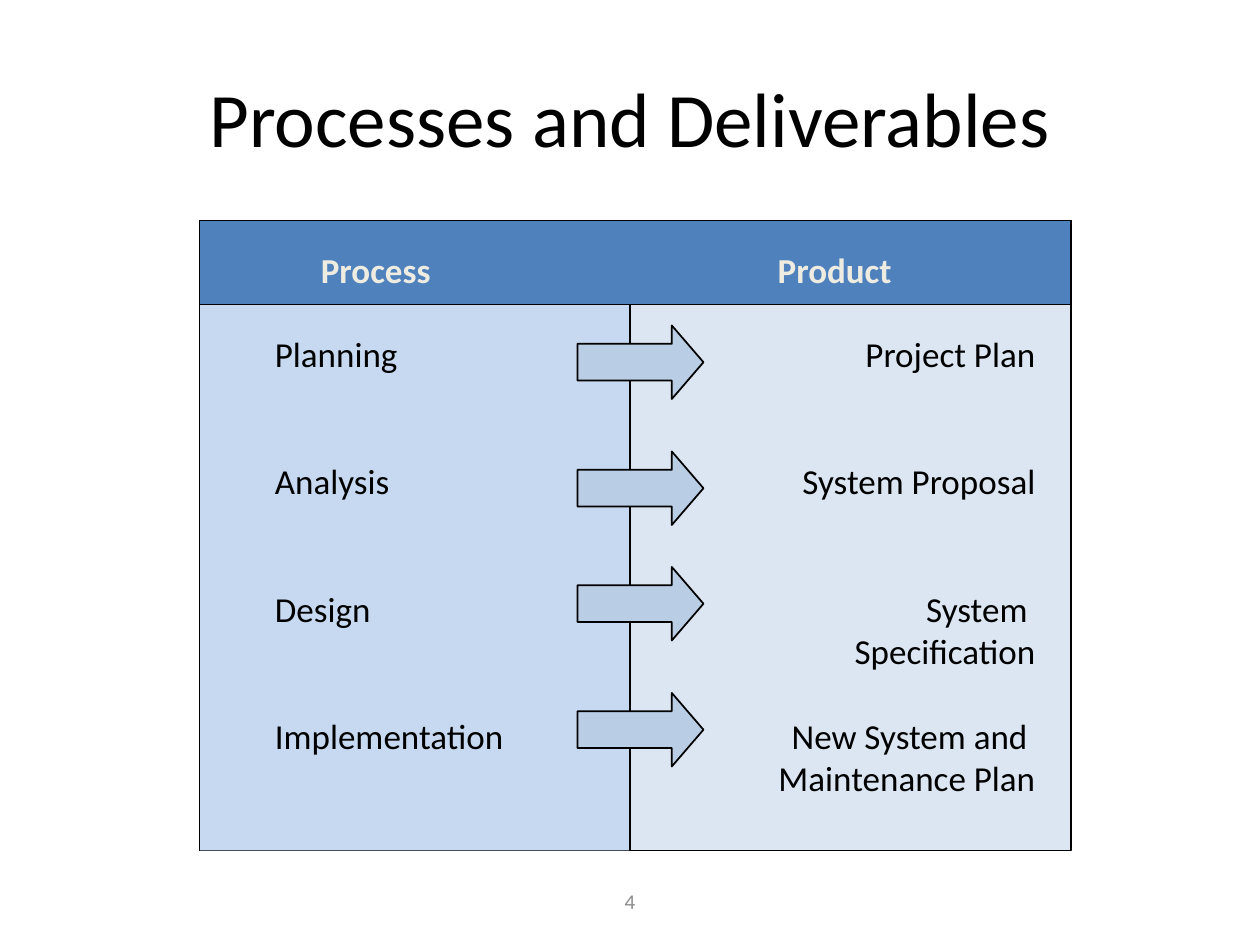
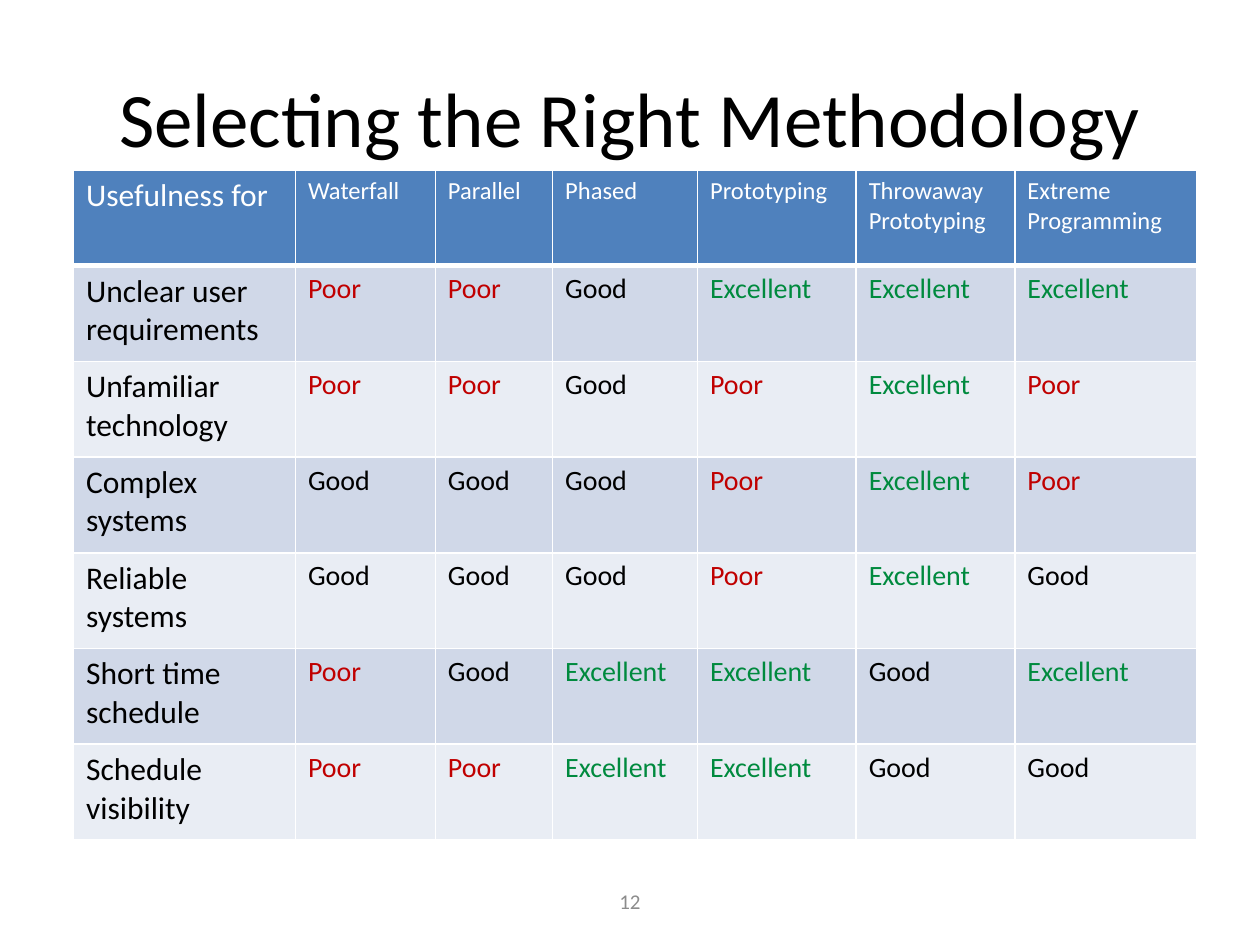
from lxml import etree
from pptx import Presentation
from pptx.dml.color import RGBColor
from pptx.enum.shapes import MSO_CONNECTOR, MSO_SHAPE
from pptx.enum.text import MSO_ANCHOR, MSO_AUTO_SIZE, PP_ALIGN
from pptx.oxml.ns import qn
from pptx.util import Pt

RECT = MSO_SHAPE.RECTANGLE
ARROW = MSO_SHAPE.RIGHT_ARROW
STRAIGHT = MSO_CONNECTOR.STRAIGHT
MIDDLE = MSO_ANCHOR.MIDDLE
NO_FIT = MSO_AUTO_SIZE.NONE
LEFT, CENTER, RIGHT = PP_ALIGN.LEFT, PP_ALIGN.CENTER, PP_ALIGN.RIGHT

BLACK = RGBColor(0x00, 0x00, 0x00)
WHITE = RGBColor(0xFF, 0xFF, 0xFF)
GREY = RGBColor(0x8C, 0x8C, 0x8C)
CREAM = RGBColor(0xEE, 0xEC, 0xE1)
BLUE = RGBColor(0x4F, 0x81, 0xBD)
PROCESS_BLUE = RGBColor(0xC6, 0xD9, 0xF1)
PRODUCT_BLUE = RGBColor(0xDC, 0xE6, 0xF2)
ARROW_BLUE = RGBColor(0xB9, 0xCD, 0xE5)
BANDS = (RGBColor(0xD0, 0xD8, 0xE8), RGBColor(0xE9, 0xED, 0xF4))
RED = RGBColor(0xC0, 0x00, 0x00)
GREEN = RGBColor(0x00, 0x8A, 0x3E)

FONT = "Calibri"
TITLE = {"size": Pt(44), "color": BLACK}
NUMBER = {"size": Pt(12), "color": GREY}
HEADING = {"size": Pt(20), "color": CREAM, "bold": True}
ITEM = {"size": Pt(20), "color": BLACK}

PANEL_X, PANEL_Y, PANEL_W, PANEL_H = 114, 126, 498, 360
HEADER_H = 48
SPLIT_X = 360
BODY_Y = PANEL_Y + HEADER_H
BOTTOM = PANEL_Y + PANEL_H
LINE_H = 24.4

PROCESSES = [(0, "Planning"), (2, "Analysis"), (2, "Design"),
             (2, "Implementation")]
PRODUCTS = [(0, "Project Plan"), (2, "System Proposal"), (2, "System "),
            (0, "Specification"), (1, "New System and "),
            (0, "Maintenance Plan")]
ARROW_TOPS = (186, 258, 324, 396)

RATINGS = {"P": ("Poor", RED), "G": ("Good", BLACK), "E": ("Excellent", GREEN)}
METHODS = ["Usefulness for", "Waterfall", "Parallel", "Phased", "Prototyping",
           "Throwaway Prototyping", "Extreme Programming"]
CRITERIA = [
    ("Unclear user requirements", "PPGEEE"),
    ("Unfamiliar technology", "PPGPEP"),
    ("Complex systems", "GGGPEP"),
    ("Reliable systems", "GGGPEG"),
    ("Short time schedule", "PGEEGE"),
    ("Schedule visibility", "PPEEGG"),
]
COL_WIDTHS = (126.8, 80, 67, 82.8, 90.7, 90.7, 103.7)
ROW_H = 54.7


def add_run(p, text, fmt):
    r = p.add_run()
    r.text = text
    r.font.name = FONT
    for name, value in fmt.items():
        if name == "color":
            r.font.color.rgb = value
        else:
            setattr(r.font, name, value)


def add_text(s, box, items, fmt, align, wrap=True):
    tf = s.shapes.add_textbox(*map(Pt, box)).text_frame
    settings = {"word_wrap": wrap, "auto_size": NO_FIT,
                "vertical_anchor": MIDDLE}
    for name, value in settings.items():
        setattr(tf, name, value)
    for i, (gap, text) in enumerate(items):
        p = tf.add_paragraph() if i else tf.paragraphs[0]
        p.alignment = align
        p.space_before = Pt(gap * LINE_H)
        add_run(p, text, fmt)


def add_block(s, kind, box, fill, outlined=True):
    sp = s.shapes.add_shape(kind, *map(Pt, box))
    sp.shadow.inherit = False
    sp.fill.solid()
    sp.fill.fore_color.rgb = fill
    if outlined:
        sp.line.color.rgb = BLACK
        sp.line.width = Pt(1)
    else:
        sp.line.fill.background()
    return sp


def add_rule(s, x):
    c = s.shapes.add_connector(STRAIGHT, Pt(x), Pt(BODY_Y), Pt(x), Pt(BOTTOM))
    c.line.color.rgb = BLACK
    c.line.width = Pt(1)
    etree.SubElement(c._element.spPr, qn("a:effectLst"))


def add_borders(cell, bottom):
    tcPr = cell._tc.get_or_add_tcPr()
    for side, width in (("L", 1), ("R", 1), ("T", 1), ("B", bottom)):
        ln = etree.SubElement(tcPr, qn("a:ln" + side), w=str(Pt(width)))
        fill = etree.SubElement(ln, qn("a:solidFill"))
        etree.SubElement(fill, qn("a:srgbClr"), val=str(WHITE))


def fill_cell(cell, text, size, color, fill, bottom=1):
    add_borders(cell, bottom)
    cell.fill.solid()
    cell.fill.fore_color.rgb = fill
    add_run(cell.text_frame.paragraphs[0], text,
            {"size": Pt(size), "color": color, "bold": False})


def add_slide(prs, title, number):
    s = prs.slides.add_slide(prs.slide_layouts[5])
    sp = s.shapes.title
    box = {"left": 36, "top": 21.6, "width": 648, "height": 90}
    for name, value in box.items():
        setattr(sp, name, Pt(value))
    sp.text_frame.vertical_anchor = MIDDLE
    p = sp.text_frame.paragraphs[0]
    p.alignment = CENTER
    add_run(p, title, TITLE)
    add_text(s, (246, 500.5, 228, 28.8), [(0, number)], NUMBER, CENTER)
    return s


def build_processes(prs):
    s = add_slide(prs, "Processes and Deliverables", "4")
    add_block(s, RECT, (PANEL_X, PANEL_Y, PANEL_W, PANEL_H), PRODUCT_BLUE)
    add_block(s, RECT, (PANEL_X, BODY_Y, SPLIT_X - PANEL_X, BOTTOM - BODY_Y),
              PROCESS_BLUE, outlined=False)
    add_block(s, RECT, (PANEL_X, PANEL_Y, PANEL_W, HEADER_H), BLUE)
    for x, w, text in ((175.7, 78, "Process"), (437, 80, "Product")):
        add_text(s, (x, 138.5, w, 31.5), [(0, text)], HEADING, CENTER, False)
    add_text(s, (150, 186, 147, 250), PROCESSES, ITEM, LEFT, False)
    add_text(s, (408, 163.5, 190.8, 319), PRODUCTS, ITEM, RIGHT)
    for x in (PANEL_X, SPLIT_X):
        add_rule(s, x)
    for top in ARROW_TOPS:
        sp = add_block(s, ARROW, (330, top, 72, 42), ARROW_BLUE)
        sp.adjustments[1] = 0.43


def build_methodologies(prs):
    s = add_slide(prs, "Selecting the Right Methodology", "12")
    rows, cols = len(CRITERIA) + 1, len(METHODS)
    box = (42, 97.2, sum(COL_WIDTHS), rows * ROW_H)
    table = s.shapes.add_table(rows, cols, *map(Pt, box)).table
    for col, width in zip(table.columns, COL_WIDTHS):
        col.width = Pt(width)
    for row in table.rows:
        row.height = Pt(ROW_H)
    for j, method in enumerate(METHODS):
        fill_cell(table.cell(0, j), method, 14 if j else 18, WHITE, BLUE, 3)
    for i, (criterion, codes) in enumerate(CRITERIA, 1):
        band = BANDS[(i - 1) % 2]
        fill_cell(table.cell(i, 0), criterion, 18, BLACK, band)
        for j, code in enumerate(codes, 1):
            text, color = RATINGS[code]
            fill_cell(table.cell(i, j), text, 16, color, band)


def main():
    prs = Presentation()
    prs.slide_width, prs.slide_height = Pt(720), Pt(540)
    build_processes(prs)
    build_methodologies(prs)
    prs.save("out.pptx")


main()
